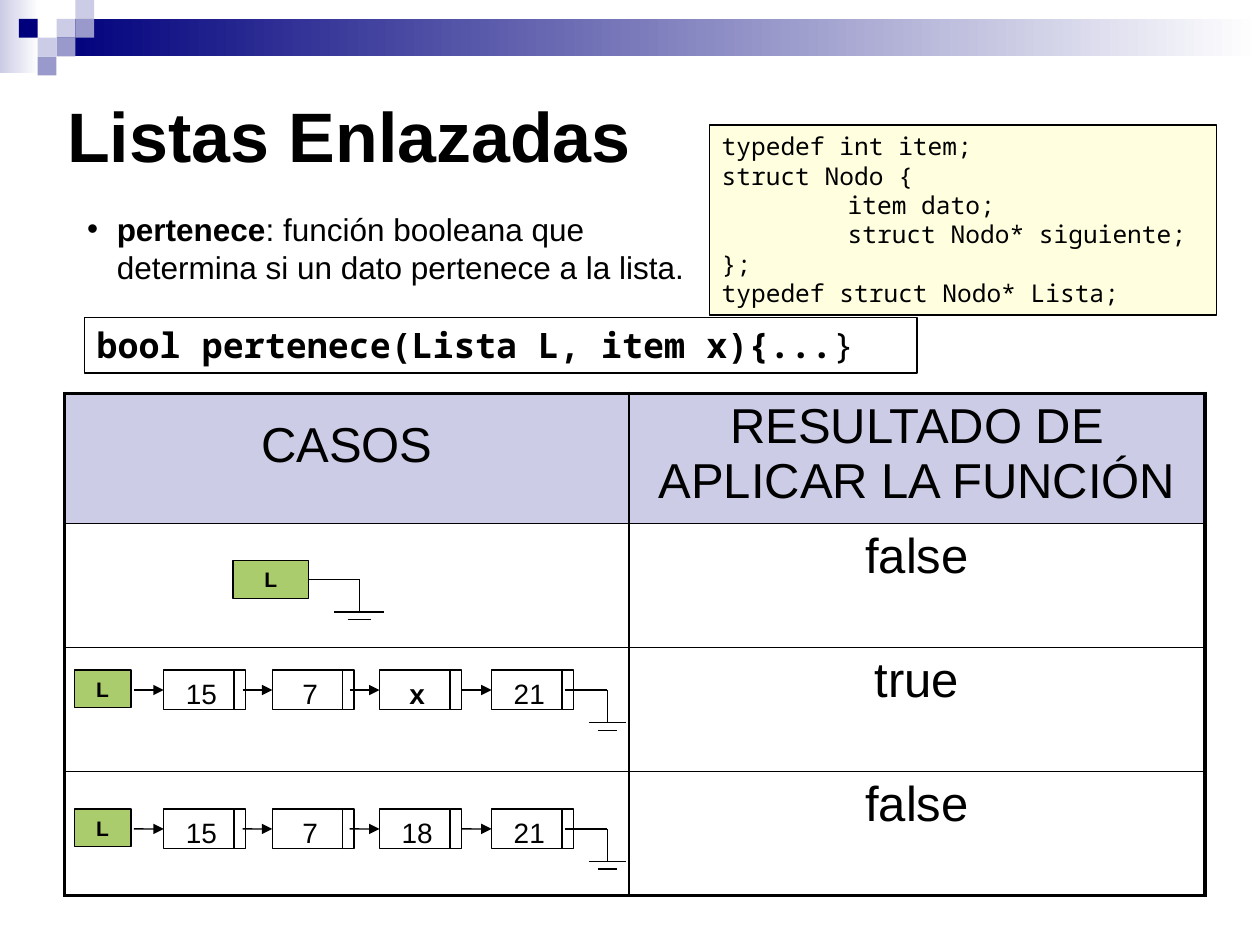
from pptx import Presentation
from pptx.dml.color import RGBColor
from pptx.enum.shapes import MSO_CONNECTOR as LINK, MSO_SHAPE as SHAPE
from pptx.enum.text import MSO_ANCHOR as ANCHOR, MSO_AUTO_SIZE as FIT, PP_ALIGN as ALIGN
from pptx.oxml.ns import qn
from pptx.util import Cm, Pt
from lxml.etree import SubElement as sub

BLACK = RGBColor(0, 0, 0)
WHITE = RGBColor(255, 255, 255)
NAVY = RGBColor(0, 0, 0x7D)
LILAC = RGBColor(0xCC, 0xCC, 0xE6)
MAUVE = RGBColor(0x99, 0x99, 0xCC)
GREEN = RGBColor(0xAA, 0xCC, 0x6C)
CREAM = RGBColor(0xFF, 0xFF, 0x99)
SANS, MONO = "Arial", "Noto Sans Mono"

# Content
TITLE = "Listas Enlazadas"
BODY = [("pertenece", True),
        (": función booleana que determina si un dato pertenece a la lista.", False)]
CODE = """typedef int item;
struct Nodo {
\titem dato;
\tstruct Nodo* siguiente;
};
typedef struct Nodo* Lista;"""
CALL = [("bool pertenece(Lista L, item x){...", True), ("}", False)]
ROWS = [("CASOS", "RESULTADO DE APLICAR LA FUNCIÓN"),
        ("", "false"), ("", "true"), ("", "false")]
LISTS = [(13.51, ["15", "7", "x", "21"]), (16.31, ["15", "7", "18", "21"])]
NODES = [3.3, 5.49, 7.65, 9.91]

# Small squares of the corner: column, row, colour
TILE = 0.38
TILES = [(3, 1, LILAC), (4, 0, LILAC), (4, 1, MAUVE), (2, 2, LILAC),
         (1, 1, NAVY), (3, 2, MAUVE), (2, 3, MAUVE)]


def style(para, size, face=SANS, bold=None):
    for run in para.runs:
        font = run.font
        font.size, font.name, font.color.rgb = Pt(size), face, BLACK
        if bold is not None:
            font.bold = bold


def add_runs(para, parts, size, face):
    for text, bold in parts:
        run = para.add_run()
        run.text, run.font.bold = text, bold
    style(para, size, face)


def place(shape, x, y, w, h):
    shape.left, shape.top, shape.width, shape.height = map(Cm, (x, y, w, h))
    frame = shape.text_frame
    frame.auto_size, frame.vertical_anchor = FIT.NONE, ANCHOR.TOP
    return frame


def add_box(x, y, w, h, fill=None, edge=True):
    box = shapes.add_shape(SHAPE.RECTANGLE, Cm(x), Cm(y), Cm(w), Cm(h))
    box.shadow.inherit = False
    if fill is None:
        box.fill.background()
    else:
        box.fill.solid()
        box.fill.fore_color.rgb = fill
    if edge:
        box.line.color.rgb, box.line.width = BLACK, Pt(0.75)
    else:
        box.line.fill.background()
    box.text_frame.vertical_anchor = ANCHOR.TOP
    box.text_frame.paragraphs[0].alignment = ALIGN.LEFT
    return box


def add_fade(x, y, w, h, color):
    fill = add_box(x, y, w, h, edge=False).fill
    fill.gradient()
    fill.gradient_angle = 0
    for stop, tone in zip(fill.gradient_stops, (color, WHITE)):
        stop.color.rgb = tone


def add_cell(text, x, y, w, h, fill, size, bold):
    box = add_box(x, y, w, h, fill)
    para = box.text_frame.paragraphs[0]
    para.text, para.alignment = text, ALIGN.CENTER
    style(para, size, bold=bold)
    return box


def add_line(x1, y1, x2, y2, start=None, end=None):
    line = shapes.add_connector(LINK.STRAIGHT, Cm(x1), Cm(y1), Cm(x2), Cm(y2))
    line.line.color.rgb, line.line.width = BLACK, Pt(0.75)
    if start is not None:
        line.begin_connect(start, 3)
    if end is not None:
        line.end_connect(end, 1)
        sub(line.line._get_or_add_ln(), qn("a:tailEnd"), type="triangle")
    sub(line._element.spPr, qn("a:effectLst"))


def add_null(x1, x2, y, wide, thin, start=None):
    """Line to a ground sign whose bars have the given half widths."""
    add_line(x1, y, x2, y, start)
    add_line(x2, y, x2, y + 0.65)
    add_line(x2 - wide, y + 0.66, x2 + wide, y + 0.66)
    add_line(x2 - thin, y + 0.81, x2 + thin, y + 0.81)


def set_edges(cell, widths):
    props = cell._tc.get_or_add_tcPr()
    for i, (side, width) in enumerate(zip(("lnL", "lnR", "lnT", "lnB"), widths)):
        edge = props.makeelement(qn("a:" + side), {"w": str(Pt(width))})
        sub(sub(edge, qn("a:solidFill")), qn("a:srgbClr"), val=str(BLACK))
        props.insert(i, edge)


deck = Presentation()
deck.slide_width, deck.slide_height = Cm(25.4), Cm(19.05)
slide = deck.slides.add_slide(deck.slide_layouts[1])
shapes = slide.shapes

# Top band
add_fade(0, 0, 0.8, 1.48, LILAC)
add_fade(1.15, 0.38, 24.25, 0.76, NAVY)
for col, row, color in TILES:
    add_box(col * TILE, row * TILE, TILE, TILE, color, edge=False)

# Title and definition
frame = place(shapes.title, 1.1, 1.73, 22.86, 3.81)
frame.text = TITLE
frame.paragraphs[0].alignment = ALIGN.LEFT
style(frame.paragraphs[0], 40, bold=True)

para = place(slide.placeholders[1], 1.5, 4.11, 12.6, 1.78).paragraphs[0]
props = para._p.get_or_add_pPr()
props.set("marL", str(Cm(0.6)))
props.set("indent", str(-Cm(0.6)))
sub(props, qn("a:buFont"), typeface=SANS)
sub(props, qn("a:buChar"), char="•")
para.space_before = Pt(0)
add_runs(para, BODY, 18, SANS)

# Type declaration
box = add_box(14.3, 2.52, 10.22, 3.83, CREAM)
tone = box._element.spPr.find(qn("a:solidFill")).find(qn("a:srgbClr"))
sub(tone, qn("a:alpha"), val="30000")
box.text_frame.text = CODE
for para in box.text_frame.paragraphs:
    tabs = sub(para._p.get_or_add_pPr(), qn("a:tabLst"))
    sub(tabs, qn("a:tab"), pos=str(Cm(2.54)), algn="l")
    para.alignment = ALIGN.LEFT
    style(para, 14, MONO)

# Table of cases
table = shapes.add_table(4, 2, Cm(1.3), Cm(7.93), Cm(22.99), Cm(10.12)).table
for col, width in zip(table.columns, (11.38, 11.61)):
    col.width = Cm(width)
for row, height in zip(table.rows, (2.62, 2.5, 2.5, 2.5)):
    row.height = Cm(height)
for r, texts in enumerate(ROWS):
    for c, text in enumerate(texts):
        cell = table.cell(r, c)
        if r == 0:
            cell.fill.solid()
            cell.fill.fore_color.rgb = LILAC
        else:
            cell.fill.background()
        set_edges(cell, [2.25 if outer else 1
                         for outer in (c == 0, c == 1, r == 0, r == 3)])
        if text:
            para = cell.text_frame.paragraphs[0]
            para.text, para.alignment = text, ALIGN.CENTER
            style(para, 28, bold=False)
table.cell(0, 0).margin_top = Cm(0.5)

# Function heading
box = add_box(1.7, 6.4, 16.79, 1.12)
add_runs(box.text_frame.paragraphs[0], CALL, 20, MONO)

# Empty list
head = add_cell("L", 4.7, 11.3, 1.52, 0.76, GREEN, 12, True)
add_null(6.22, 7.24, 11.68, 0.5, 0.23, head)

# Lists with nodes
for y, items in LISTS:
    mid = y + 0.4
    add_cell("L", 1.5, y, 1.14, 0.76, GREEN, 12, True)
    for x, item in zip(NODES, items):
        node = add_cell(item, x, y, 1.52, 0.8, WHITE, 16, item == "x")
        add_box(x + 1.42, y, 0.23, 0.8, WHITE)
        add_line(x - 0.6, mid, x, mid, end=node)
    add_null(11.38, 12.24, mid, 0.37, 0.19)

deck.save("out.pptx")
